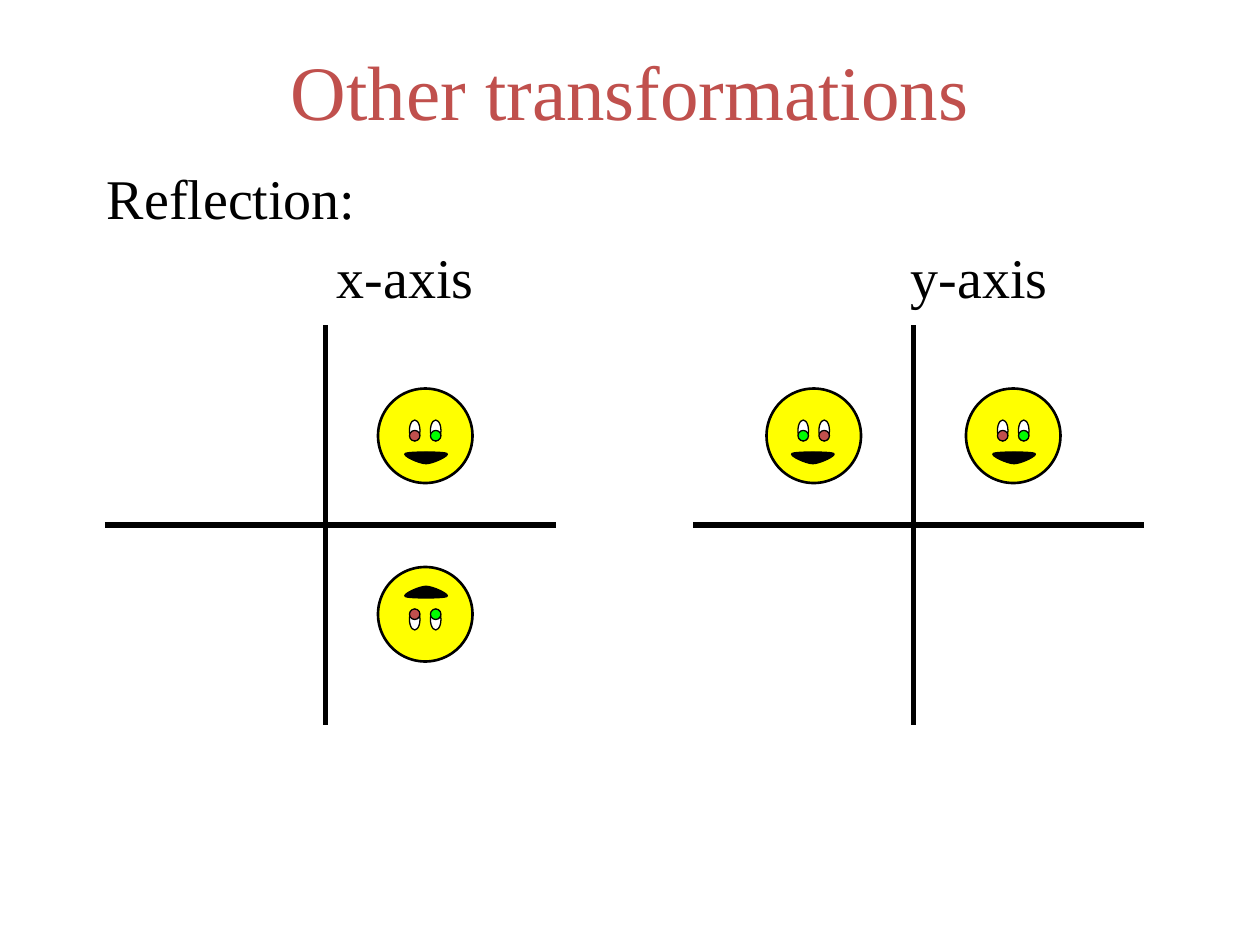
from lxml import etree
from pptx import Presentation
from pptx.dml.color import RGBColor
from pptx.enum.shapes import MSO_CONNECTOR, MSO_SHAPE
from pptx.enum.text import MSO_ANCHOR, PP_ALIGN
from pptx.oxml.ns import qn
from pptx.util import Pt

LINE, OVAL = MSO_CONNECTOR.STRAIGHT, MSO_SHAPE.OVAL
LEFT, CENTER = PP_ALIGN.LEFT, PP_ALIGN.CENTER
TOP, MIDDLE = MSO_ANCHOR.TOP, MSO_ANCHOR.MIDDLE

# Content; all lengths in points
TITLE = "Other transformations"
BODY = ["Reflection:", "\tx-axis\ty-axis"]
AXIS_LABEL_TABS = (131.4, 459.4)
TITLE_BOX = (54, 24, 612, 54)
BODY_BOX = (54, 90, 612, 390)

AXIS_ORIGINS = [(186, 300), (522, 300)]
AXIS_REACH = {"left": 126, "right": 132, "up": 114, "down": 114}

# Each face: left, top, mirrored left-right, mirrored top-bottom
FACES = [
    (216, 222, False, False),
    (216, 324, False, True),
    (552, 222, False, False),
    (438, 222, True, False),
]
FACE_SIZE = 54
# Ovals drawn over the face: left, top, width, height, colour name
EYES = [
    (18, 18, 6, 12, "white"),
    (30, 18, 6, 12, "white"),
    (18, 24, 6, 6, "red"),
    (30, 24, 6, 6, "green"),
]
# Start point, then three points for each Bézier curve
MOUTH_START = (15.6, 37.1)
MOUTH_CURVES = [
    (13.5, 38.3), (23.6, 43), (27.5, 43),
    (31.4, 43), (41.5, 38.3), (39.4, 37.1),
    (37.4, 36), (17.6, 36), (15.6, 37.1),
]

THEME = {
    "font": "Times New Roman",
    "title_size": 44, "body_size": 32, "body_gap": 6.8,
    "axis_line": 3, "face_line": 1.5, "detail_line": 0.75,
    "black": RGBColor(0x00, 0x00, 0x00),
    "white": RGBColor(0xFF, 0xFF, 0xFF),
    "yellow": RGBColor(0xFF, 0xFF, 0x00),
    "red": RGBColor(0xC0, 0x50, 0x4D),
    "green": RGBColor(0x00, 0xFF, 0x00),
}


def add_text(slide, box, lines, size, color, align, anchor, tabs=()):
    frame = slide.shapes.add_textbox(*map(Pt, box)).text_frame
    frame.word_wrap = True
    frame.vertical_anchor = anchor
    font_format = {"name": THEME["font"], "size": Pt(THEME[size])}
    for index, line in enumerate(lines):
        paragraph = frame.add_paragraph() if index else frame.paragraphs[0]
        if "\t" in line:
            stops = etree.SubElement(paragraph._p.get_or_add_pPr(), qn("a:tabLst"))
            for position in tabs:
                etree.SubElement(stops, qn("a:tab"), pos=str(Pt(position)), algn="l")
        paragraph.alignment = align
        if index:
            paragraph.space_before = Pt(THEME["body_gap"])
        run = paragraph.add_run()
        run.text = line
        for key, value in font_format.items():
            setattr(run.font, key, value)
        run.font.color.rgb = THEME[color]


def add_axes(slide, x, y):
    axes = slide.shapes.add_group_shape().shapes
    ends = [
        (x, y - AXIS_REACH["up"], x, y + AXIS_REACH["down"]),
        (x - AXIS_REACH["left"], y, x + AXIS_REACH["right"], y),
    ]
    for end in ends:
        axis = axes.add_connector(LINE, *map(Pt, end))
        axis.line.color.rgb = THEME["black"]
        axis.line.width = Pt(THEME["axis_line"])
        etree.SubElement(axis._element.spPr, qn("a:effectLst"))


def paint(shape, color, line_width):
    shape.shadow.inherit = False
    shape.fill.solid()
    shape.fill.fore_color.rgb = THEME[color]
    shape.line.color.rgb = THEME["black"]
    shape.line.width = Pt(THEME[line_width])


def curve_segments(shape):
    """Turn each three straight segments of the outline into one Bézier curve."""
    segments = list(shape._element.iter(qn("a:lnTo")))
    for first in range(0, len(segments), 3):
        curve = etree.Element(qn("a:cubicBezTo"))
        segments[first].addprevious(curve)
        for segment in segments[first:first + 3]:
            curve.append(segment[0])
            segment.getparent().remove(segment)


def add_face(slide, left, top, mirror_x, mirror_y):
    def place(x, y, width=0, height=0):
        if mirror_x:
            x = FACE_SIZE - x - width
        if mirror_y:
            y = FACE_SIZE - y - height
        return Pt(left + x), Pt(top + y)

    face = slide.shapes.add_group_shape().shapes

    def add_oval(x, y, width, height, color, line_width):
        corner = place(x, y, width, height)
        oval = face.add_shape(OVAL, *corner, Pt(width), Pt(height))
        paint(oval, color, line_width)

    add_oval(0, 0, FACE_SIZE, FACE_SIZE, "yellow", "face_line")
    builder = face.build_freeform(*place(*MOUTH_START))
    builder.add_line_segments([place(*point) for point in MOUTH_CURVES], close=True)
    mouth = builder.convert_to_shape()
    curve_segments(mouth)
    paint(mouth, "black", "detail_line")
    for eye in EYES:
        add_oval(*eye, "detail_line")


def main():
    deck = Presentation()
    deck.slide_width, deck.slide_height = Pt(720), Pt(540)
    slide = deck.slides.add_slide(deck.slide_layouts[6])

    # Title and labels
    add_text(slide, TITLE_BOX, [TITLE], "title_size", "red", CENTER, MIDDLE)
    add_text(slide, BODY_BOX, BODY, "body_size", "black", LEFT, TOP, AXIS_LABEL_TABS)

    # Axes, then the faces with their reflections
    for origin in AXIS_ORIGINS:
        add_axes(slide, *origin)
    for face in FACES:
        add_face(slide, *face)

    deck.save("out.pptx")


if __name__ == "__main__":
    main()
